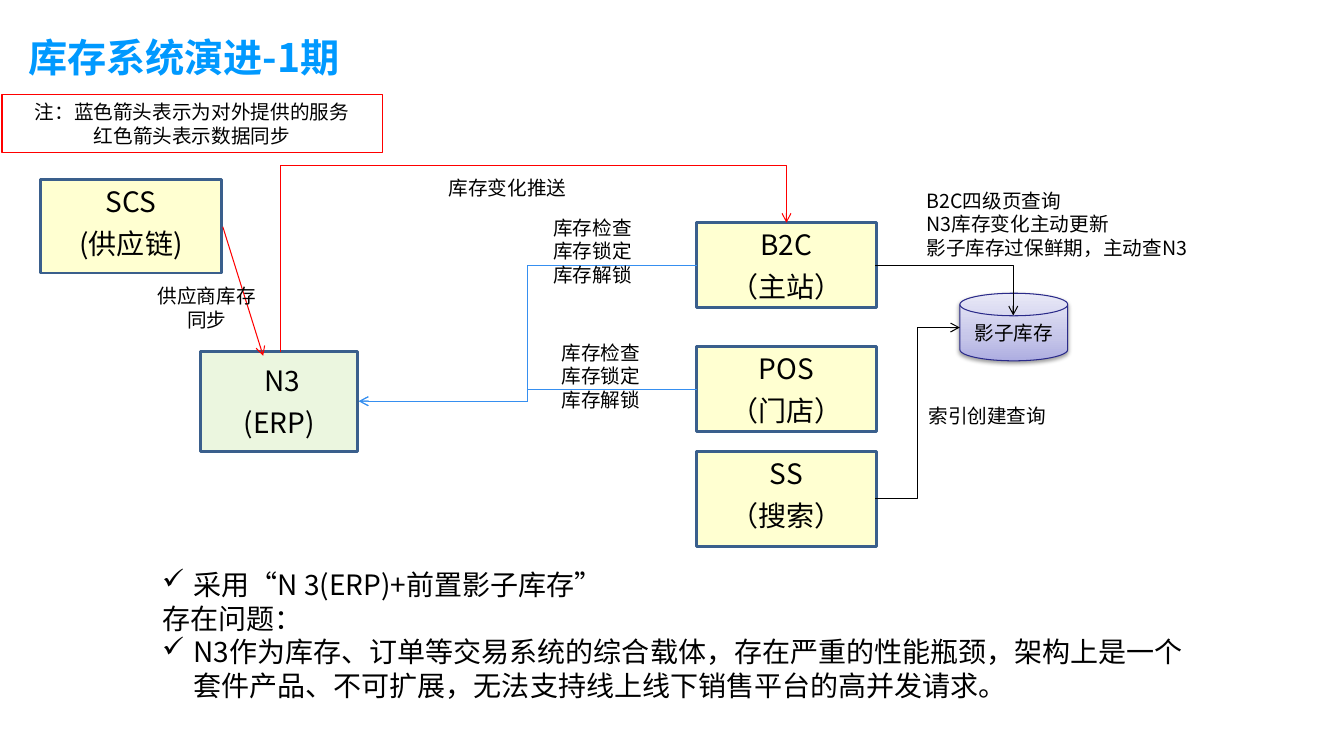
from pptx import Presentation
from pptx.dml.color import RGBColor as Rgb
from pptx.enum.shapes import MSO_CONNECTOR as Link, MSO_SHAPE as Kind
from pptx.enum.text import MSO_ANCHOR as Anchor, PP_ALIGN as Align
from pptx.oxml import parse_xml
from pptx.oxml.ns import nsdecls, qn
from pptx.oxml.xmlchemy import OxmlElement as Node
from pptx.util import Pt

PX = 9144
FONT = "Noto Sans CJK SC"
BLACK, RED, BLUE, NAVY = "000000", "FF0000", "368FF0", "3A5F8C"
YELLOW, GREEN = "FFFF00", "92D050"


def rgb(code):
    return Rgb.from_string(code)


def sub(parent, tag, **attrs):
    node = Node(tag)
    for key, val in attrs.items():
        node.set(key, str(val))
    parent.append(node)
    return node


class Board:
    """Draws styled elements on one slide, with lengths in px of 1/100 inch."""

    def __init__(self, deck):
        self.slide = deck.slides.add_slide(deck.slide_layouts[6])
        self.shapes = self.slide.shapes

    def letter(self, shape, text, size, color=BLACK, bold=False, align=Align.LEFT, gap=(0, 0)):
        frame = shape.text_frame
        frame.word_wrap = True
        frame.text = text
        for para in frame.paragraphs:
            para.alignment = align
            para.space_before, para.space_after = Pt(gap[0]), Pt(gap[1])
            for run in para.runs:
                font = run.font
                font.name, font.size, font.bold = FONT, Pt(size), bold
                font.color.rgb = rgb(color)
                sub(run._r.get_or_add_rPr(), "a:ea", typeface=FONT)
        return frame

    def label(self, x, y, w, h, text, size=14, **style):
        box = self.shapes.add_textbox(x * PX, y * PX, w * PX, h * PX)
        return self.letter(box, text, size, **style)

    def points(self, x, y, w, h, items):
        frame = self.label(x, y, w, h, "\n".join(text for text, _ in items), 20)
        for para, (_, mark) in zip(frame.paragraphs, items):
            if mark:
                props = para._p.get_or_add_pPr()
                props.set("marL", str(31 * PX))
                props.set("indent", str(-31 * PX))
                sub(props, "a:buChar", char="✓")

    def shape(self, kind, x, y, w, h, line, width):
        item = self.shapes.add_shape(kind, x * PX, y * PX, w * PX, h * PX)
        item.shadow.inherit = False
        item.fill.background()
        item.line.color.rgb = rgb(line)
        item.line.width = Pt(width)
        return item

    def system(self, x, y, w, h, text, tint=YELLOW, anchor=Anchor.TOP):
        box = self.shape(Kind.RECTANGLE, x, y, w, h, NAVY, 2)
        box.fill.solid()
        box.fill.fore_color.rgb = rgb(tint)
        hue = box._element.spPr.find(qn("a:solidFill"))[0]
        sub(hue, "a:alpha", val=18000)
        frame = self.letter(box, text, 20, align=Align.CENTER, gap=(3.1, 3))
        frame.vertical_anchor = anchor

    def note(self, x, y, w, h, text):
        box = self.shape(Kind.RECTANGLE, x, y, w, h, RED, 0.75)
        self.letter(box, text, 14, align=Align.CENTER)

    def store(self, x, y, w, h, text, stops):
        disk = self.shape(Kind.FLOWCHART_MAGNETIC_DISK, x, y, w, h, "2A2A89", 0.75)
        props = disk._element.spPr
        fill = parse_xml(f'<a:gradFill {nsdecls("a")}><a:gsLst/><a:lin ang="16200000"/></a:gradFill>')
        for pos, code in stops:
            stop = sub(fill[0], "a:gs", pos=pos * 1000)
            sub(stop, "a:srgbClr", val=code)
        props.replace(props.find(qn("a:noFill")), fill)
        shade = sub(props.find(qn("a:effectLst")), "a:outerShdw", blurRad=Pt(3.1),
                    dist=Pt(1.6), dir=5400000, rotWithShape=0)
        sub(sub(shade, "a:srgbClr", val=BLACK), "a:alpha", val=38000)
        frame = self.letter(disk, text, 14, align=Align.CENTER)
        frame.vertical_anchor = Anchor.MIDDLE

    def arrow(self, start, end, color, kind=Link.ELBOW, preset=None, turn=0, bend=None):
        ends = [val * PX for val in (*start, *end)]
        link = self.shapes.add_connector(kind, *ends)
        link.line.color.rgb = rgb(color)
        link.line.width = Pt(0.75)
        props = link._element.spPr
        sub(props.find(qn("a:ln")), "a:tailEnd", type="arrow")
        sub(props, "a:effectLst")
        form = props.find(qn("a:prstGeom"))
        if preset:
            form.set("prst", preset)
        if turn:
            props.find(qn("a:xfrm")).set("rot", str(turn * 60000))
        if bend:
            sub(form.find(qn("a:avLst")), "a:gd", name="adj1", fmla=f"val {bend}")


def main():
    deck = Presentation()
    deck.slide_width, deck.slide_height = 1333 * PX, 750 * PX
    board = Board(deck)

    board.label(18, 28, 893, 57, "库存系统演进-1期", 28, color="0099FF", bold=True)
    board.system(199, 349, 156, 99, " N3\n(ERP)", GREEN, Anchor.MIDDLE)
    for y, h, text in ((221, 84, "B2C\n（主站）"), (344, 84, "POS\n（门店）"), (448, 94, "SS\n（搜索）")):
        board.system(691, y, 178, h, text)
    board.points(151, 558, 1042, 246, (
        ("采用“N 3(ERP)+前置影子库存”", True),
        ("存在问题：", False),
        ("N3作为库存、订单等交易系统的综合载体，存在严重的性能瓶颈，架构上是一个"
         "套件产品、不可扩展，无法支持线上线下销售平台的高并发请求。", True)))

    for x, y, mid in ((539, 209, 263), (547, 333, 386)):
        board.arrow((691, mid), (356, 398), BLUE)
        board.label(x, y, 136, 81, "库存检查\n库存锁定\n库存解锁")

    board.store(952, 291, 107, 67, "影子库存", ((0, "ADADE1"), (35, "C6C6E9"), (100, "E9E9F7")))
    board.arrow((593, 536), (465, 34), RED, turn=90, bend=144300)
    board.label(435, 170, 170, 34, "库存变化推送")
    board.arrow((868, 263), (1005, 313), BLACK, preset="bentConnector2")
    board.label(909, 182, 284, 81, "B2C四级页查询\nN3库存变化主动更新\n影子库存过保鲜期，主动查N3")
    board.arrow((868, 495), (952, 325), BLACK)
    board.label(911, 396, 192, 34, "索引创建查询")

    board.note(2, 94, 377, 57, "注：蓝色箭头表示为对外提供的服务\n红色箭头表示数据同步")
    board.system(40, 178, 180, 93, "SCS\n(供应链)")
    board.arrow((221, 225), (261, 353), RED, kind=Link.STRAIGHT)
    board.label(142, 277, 126, 57, "供应商库存同步", align=Align.CENTER)

    deck.save("out.pptx")


if __name__ == "__main__":
    main()
